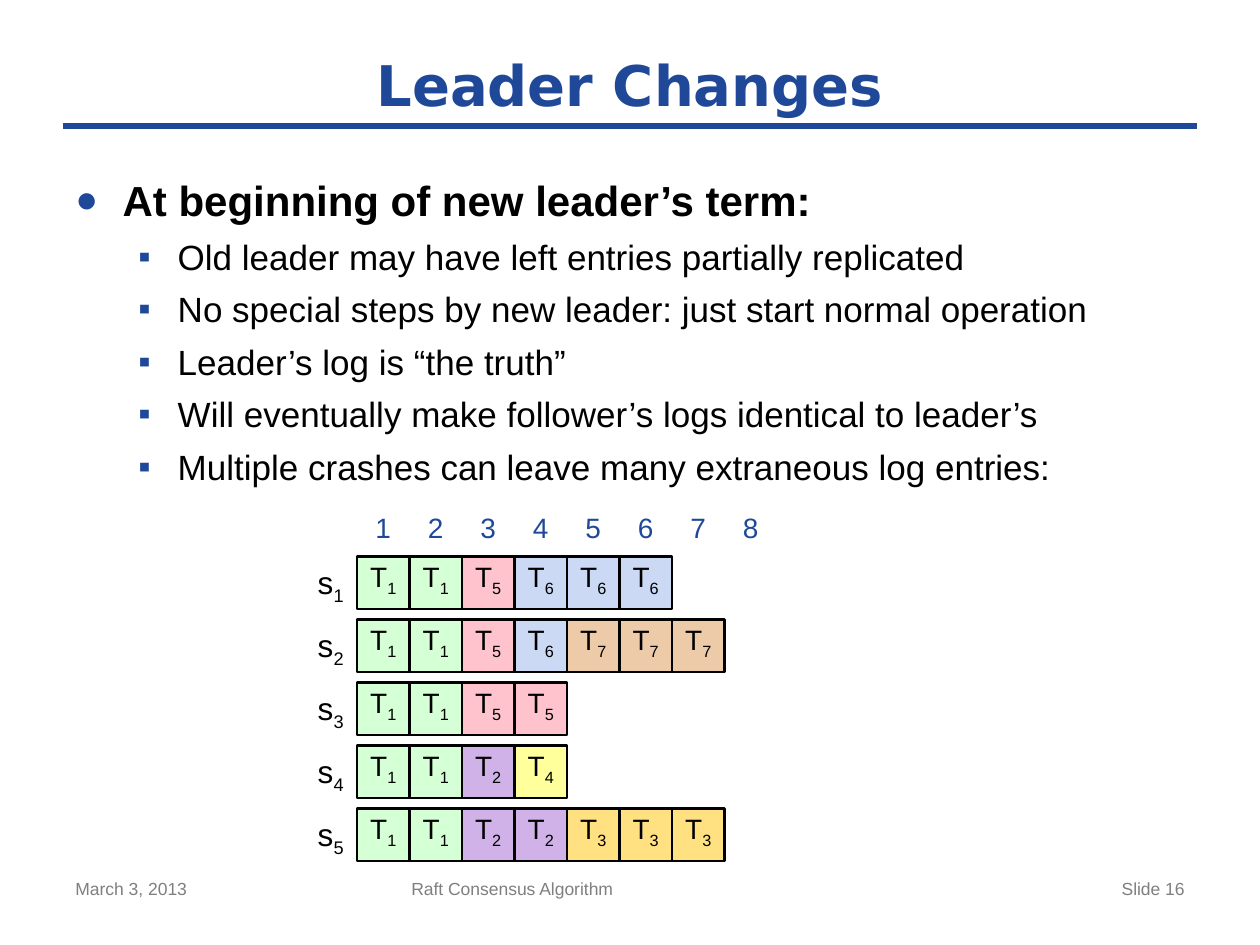
"""Build the Leader Changes slide with its grid of server logs."""
from lxml.etree import SubElement
from pptx import Presentation
from pptx.dml.color import RGBColor
from pptx.enum.shapes import MSO_CONNECTOR, MSO_SHAPE
from pptx.enum.text import MSO_ANCHOR, MSO_AUTO_SIZE, PP_ALIGN
from pptx.oxml.ns import qn
from pptx.util import Pt

PX = 9525
BLUE, BLACK, GRAY = "1F4899", "000000", "7F7F7F"
CELL, STEP, LEFT, TOP = 40, 48, 272, 424
FILLS = {"1": "D5FFD5", "2": "D1B2E8", "3": "FFE181", "4": "FFFF9B",
         "5": "FFC3CE", "6": "CCD9F4", "7": "EECBA8"}
LOGS = ["115666", "1156777", "1155", "1124", "1122333"]
POINTS = [
    "Old leader may have left entries partially replicated",
    "No special steps by new leader: just start normal operation",
    "Leader’s log is “the truth”",
    "Will eventually make follower’s logs identical to leader’s",
    "Multiple crashes can leave many extraneous log entries:",
]


def write(para, text, sub="", size=16, color=BLACK, bold=False,
          font="Arial", align=PP_ALIGN.CENTER):
    para.alignment = align
    for part in filter(None, (text, sub)):
        run = para.add_run()
        run.text = part
        run.font.size, run.font.bold, run.font.name = Pt(size), bold, font
        run.font.color.rgb = RGBColor.from_string(color)
    if sub:
        run.font._element.set("baseline", "-25000")


def frame(left, top, width, height, grow=False, inset=True):
    box = slide.shapes.add_textbox(left * PX, top * PX, width * PX, height * PX)
    text = box.text_frame
    text.word_wrap = True
    if grow:
        text.auto_size = MSO_AUTO_SIZE.SHAPE_TO_FIT_TEXT
    if not inset:
        text.margin_left = text.margin_right = text.margin_top = text.margin_bottom = 0
    return text


deck = Presentation()
deck.slide_width, deck.slide_height = 960 * PX, 720 * PX
slide = deck.slides.add_slide(deck.slide_layouts[5])

title = slide.shapes.title
title.left, title.top, title.width, title.height = 48 * PX, 32 * PX, 864 * PX, 64 * PX
title.text_frame.vertical_anchor = MSO_ANCHOR.MIDDLE
write(title.text_frame.paragraphs[0], "Leader Changes", size=32, color=BLUE,
      bold=True, font="DejaVu Sans")

rule = slide.shapes.add_connector(MSO_CONNECTOR.STRAIGHT, 48 * PX, 96 * PX, 912 * PX, 96 * PX)
rule.line.color.rgb = RGBColor.from_string(BLUE)
rule.line.width = Pt(4)
SubElement(rule._element.spPr, qn("a:effectLst"))

body = frame(48, 128, 864, 516)
for row, point in enumerate(["At beginning of new leader’s term:"] + POINTS):
    para = body.add_paragraph() if row else body.paragraphs[0]
    para.level = 1 if row else 0
    para.space_before = Pt(6 if row else 0)
    props = para._p.get_or_add_pPr()
    props.set("marL", str((78 if row else 36) * PX))
    props.set("indent", str((-30 if row else -36) * PX))
    tint = SubElement(props, qn("a:buClr"))
    SubElement(tint, qn("a:srgbClr"), val=BLUE)
    if not row:
        SubElement(props, qn("a:buSzPct"), val="90000")
    SubElement(props, qn("a:buFont"), typeface="Arial")
    SubElement(props, qn("a:buChar"), char="▪" if row else "●")
    write(para, point, size=20 if row else 24, bold=not row, align=PP_ALIGN.LEFT)

for left, width, text, align in [
    (48, 224, "March 3, 2013", PP_ALIGN.LEFT),
    (304, 360, "Raft Consensus Algorithm", PP_ALIGN.LEFT),
    (688, 224, "Slide 16", PP_ALIGN.RIGHT),
]:
    foot = frame(left, 664, width, 41)
    write(foot.paragraphs[0], text, size=10, color=GRAY, align=align)

for col in range(8):
    head = frame(LEFT + col * CELL, 384, CELL, 35, grow=True)
    write(head.paragraphs[0], str(col + 1), color=BLUE)

for row, log in enumerate(LOGS):
    top = TOP + row * STEP
    label = frame(LEFT - CELL, top + 5, CELL, 29, grow=True, inset=False)
    write(label.paragraphs[0], "s", sub=str(row + 1), size=18)
    for col, term in enumerate(log):
        cell = slide.shapes.add_shape(MSO_SHAPE.RECTANGLE, (LEFT + col * CELL) * PX,
                                      top * PX, CELL * PX, CELL * PX)
        cell.shadow.inherit = False
        cell.fill.solid()
        cell.fill.fore_color.rgb = RGBColor.from_string(FILLS[term])
        cell.line.color.rgb = RGBColor.from_string(BLACK)
        cell.line.width = Pt(1.5)
        text = cell.text_frame
        text.margin_left = text.margin_right = text.margin_top = text.margin_bottom = 0
        text.vertical_anchor = MSO_ANCHOR.MIDDLE
        text.paragraphs[0].line_spacing = Pt(17)
        write(text.paragraphs[0], "T", sub=term)

deck.save("out.pptx")
